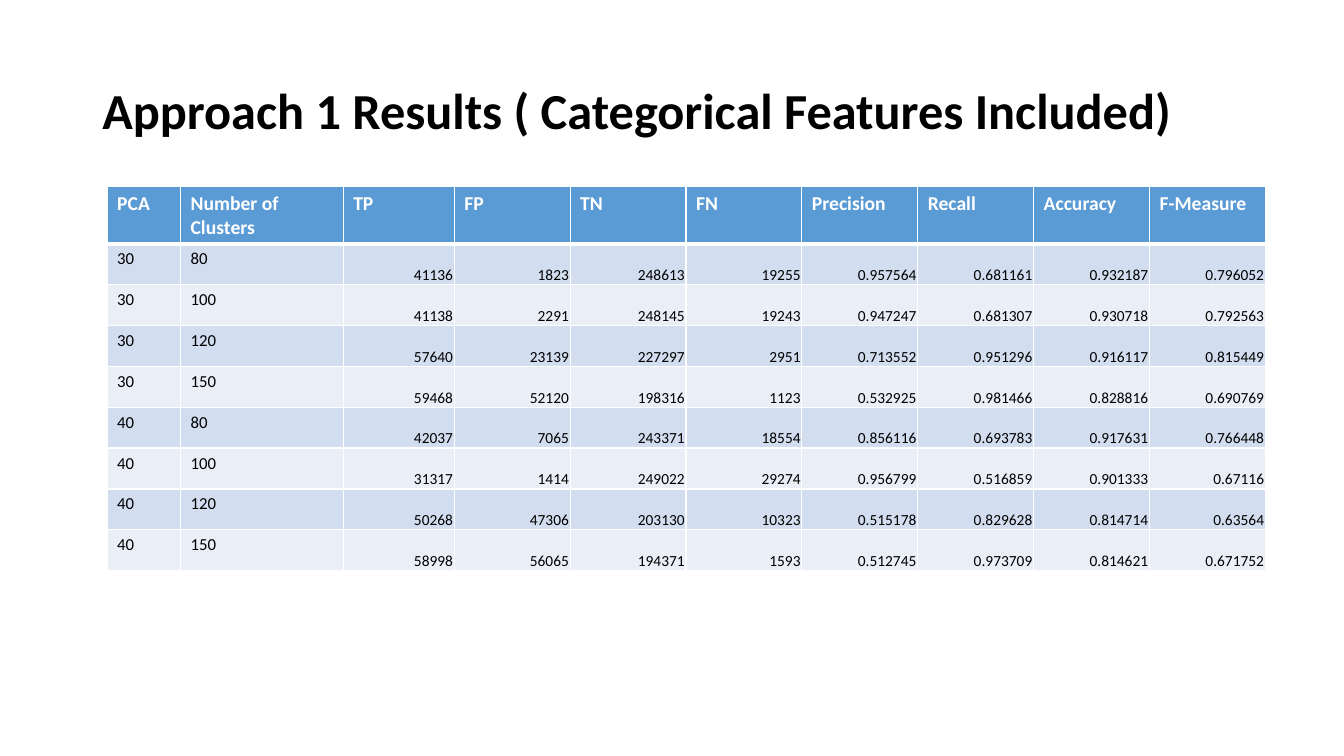
import pptx
import pptx.dml.color
import pptx.enum.text
import pptx.oxml
import pptx.oxml.ns
import pptx.util
from pptx.dml.color import RGBColor
from pptx.enum.text import MSO_ANCHOR, PP_ALIGN
from pptx.util import Cm, Pt

# Content
TITLE = "Approach 1 Results ( Categorical Features Included)"
HEADERS = ["PCA", "Number of Clusters", "TP", "FP", "TN", "FN",
           "Precision", "Recall", "Accuracy", "F-Measure"]
RESULTS = [
    ("30", "80", "41136", "1823", "248613", "19255", "0.957564", "0.681161", "0.932187", "0.796052"),
    ("30", "100", "41138", "2291", "248145", "19243", "0.947247", "0.681307", "0.930718", "0.792563"),
    ("30", "120", "57640", "23139", "227297", "2951", "0.713552", "0.951296", "0.916117", "0.815449"),
    ("30", "150", "59468", "52120", "198316", "1123", "0.532925", "0.981466", "0.828816", "0.690769"),
    ("40", "80", "42037", "7065", "243371", "18554", "0.856116", "0.693783", "0.917631", "0.766448"),
    ("40", "100", "31317", "1414", "249022", "29274", "0.956799", "0.516859", "0.901333", "0.67116"),
    ("40", "120", "50268", "47306", "203130", "10323", "0.515178", "0.829628", "0.814714", "0.63564"),
    ("40", "150", "58998", "56065", "194371", "1593", "0.512745", "0.973709", "0.814621", "0.671752"),
]

# Style
FONT = "Calibri"
BLACK = RGBColor(0x00, 0x00, 0x00)
WHITE = RGBColor(0xFF, 0xFF, 0xFF)
HEADER_BLUE = RGBColor(0x5B, 0x9B, 0xD5)
BANDS = [RGBColor(0xD2, 0xDE, 0xEF), RGBColor(0xEA, 0xEF, 0xF7)]
COLUMN_WIDTHS = [1.85, 4.1, 2.8] + [2.92] * 7
ROW_HEIGHT = 1.03
SETTING_COLUMNS = 2


def set_font(paragraph, size, color, bold=False):
    paragraph.font.name = FONT
    paragraph.font.size = Pt(size)
    paragraph.font.bold = bold
    paragraph.font.color.rgb = color


def set_borders(cell, top, bottom):
    properties = cell._tc.get_or_add_tcPr()
    for index, (side, width) in enumerate([("L", 1), ("R", 1), ("T", top), ("B", bottom)]):
        properties.insert(index, pptx.oxml.parse_xml(
            f'<a:ln{side} {pptx.oxml.ns.nsdecls("a")} w="{Pt(width)}"><a:solidFill>'
            f'<a:srgbClr val="{WHITE}"/></a:solidFill></a:ln{side}>'))


presentation = pptx.Presentation()
presentation.slide_width, presentation.slide_height = Cm(33.87), Cm(19.05)
slide = presentation.slides.add_slide(presentation.slide_layouts[6])

# Title
title = slide.shapes.add_textbox(Cm(2.33), Cm(1.01), Cm(29.21), Cm(3.68))
title.text_frame.word_wrap = True
title.text_frame.vertical_anchor = MSO_ANCHOR.MIDDLE
paragraph = title.text_frame.paragraphs[0]
paragraph.text = TITLE
paragraph.line_spacing = 0.9
set_font(paragraph, 36, BLACK, bold=True)

# Results table
rows = [HEADERS] + RESULTS
table = slide.shapes.add_table(
    len(rows), len(HEADERS), Cm(2.7), Cm(4.7),
    Cm(sum(COLUMN_WIDTHS)), Cm(ROW_HEIGHT * len(rows))).table
for column, width in zip(table.columns, COLUMN_WIDTHS):
    column.width = Cm(width)

for row_index, values in enumerate(rows):
    table.rows[row_index].height = Cm(ROW_HEIGHT)
    is_header = row_index == 0
    for column_index, value in enumerate(values):
        cell = table.cell(row_index, column_index)
        cell.text = value
        cell.fill.solid()
        cell.fill.fore_color.rgb = HEADER_BLUE if is_header else BANDS[(row_index - 1) % 2]
        set_borders(cell, top=3 if row_index == 1 else 1, bottom=3 if is_header else 1)
        paragraph = cell.text_frame.paragraphs[0]
        if is_header:
            set_font(paragraph, 14, WHITE, bold=True)
        elif column_index < SETTING_COLUMNS:
            set_font(paragraph, 12, BLACK)
        else:
            set_font(paragraph, 11, BLACK)
            paragraph.alignment = PP_ALIGN.RIGHT
            cell.vertical_anchor = MSO_ANCHOR.BOTTOM
            cell.margin_left = cell.margin_right = cell.margin_top = Cm(0.03)
            cell.margin_bottom = Cm(0)

presentation.save("out.pptx")
